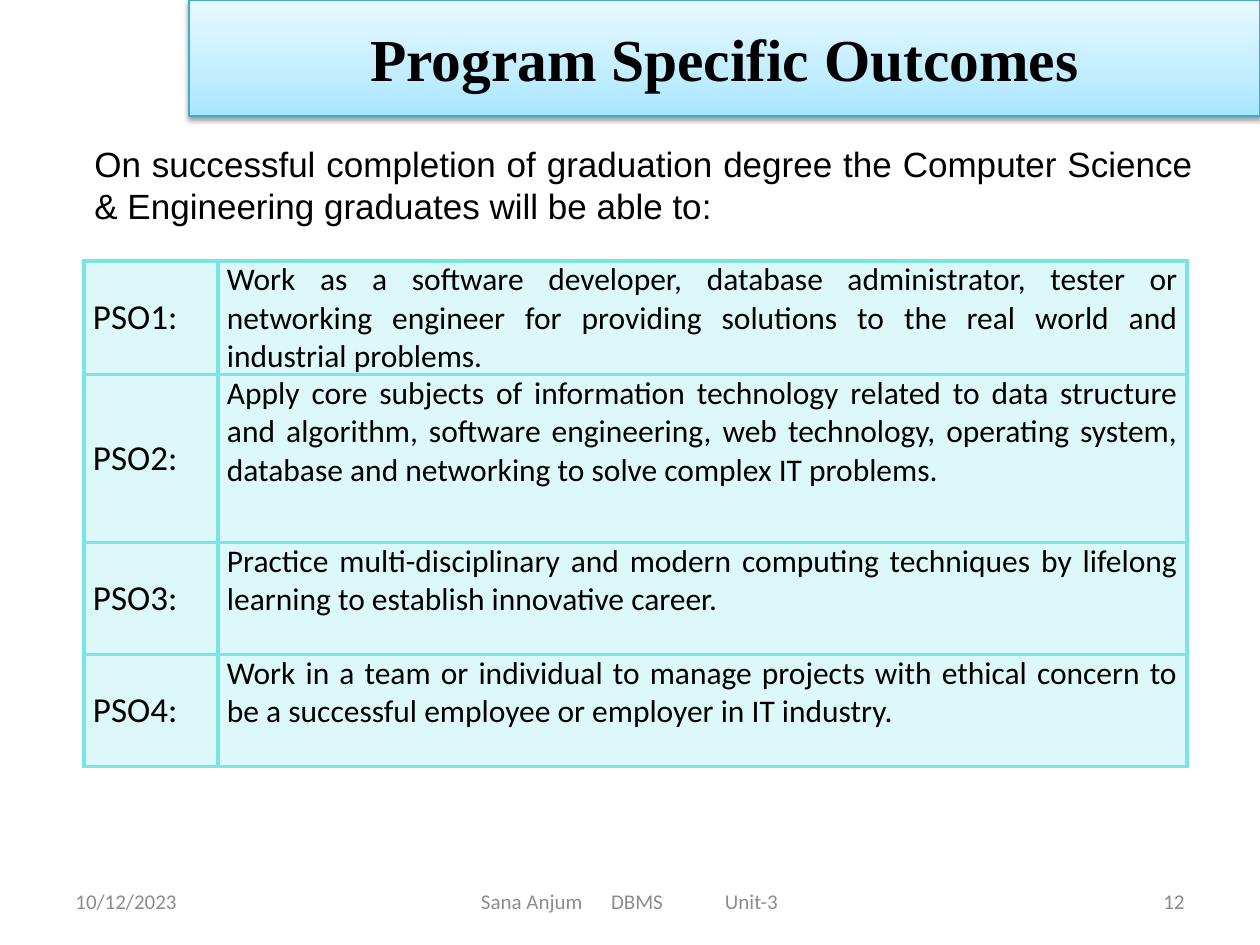
from lxml import etree
from pptx import Presentation
from pptx.dml.color import RGBColor
from pptx.enum.text import MSO_ANCHOR, MSO_AUTO_SIZE, PP_ALIGN
from pptx.oxml import parse_xml
from pptx.oxml.ns import nsdecls, qn
from pptx.util import Emu, Pt

LEFT, MID, RIGHT, JUST = PP_ALIGN.LEFT, PP_ALIGN.CENTER, PP_ALIGN.RIGHT, PP_ALIGN.JUSTIFY
TOP, CENTRE = MSO_ANCHOR.TOP, MSO_ANCHOR.MIDDLE
FIXED = MSO_AUTO_SIZE.NONE
SCALE = 914400 / 126
COLOURS = {
    "ink": "000000", "grey": "8C8C8C", "number": "898989", "aqua": "7BE5E5",
    "edge": "46AAC5", "low": "A7E6FF", "mid": "C1EDFF", "high": "E7F8FF",
}
GOALS = [
    "Work as a software developer, database administrator, tester or networking "
    "engineer for providing solutions to the real world and industrial problems.",
    "Apply core subjects of information technology related to data structure and "
    "algorithm, software engineering, web technology, operating system, database "
    "and networking to solve complex IT problems.",
    "Practice multi-disciplinary and modern computing techniques by lifelong "
    "learning to establish innovative career.",
    "Work in a team or individual to manage projects with ethical concern to be a "
    "successful employee or employer in IT industry.",
]


def px(num):
    return Emu(round(num * SCALE))


def rgb(name):
    return RGBColor.from_string(COLOURS[name])


def paint(name, alpha=100):
    """Return the XML of a solid fill."""
    return (f'<a:solidFill {nsdecls("a")}><a:srgbClr val="{COLOURS[name]}">'
            f'<a:alpha val="{alpha * 1000}"/></a:srgbClr></a:solidFill>')


class Page:
    def __init__(self, deck):
        self.slide = deck.slides.add_slide(deck.slide_layouts[5])
        self.font = "Calibri"

    def place(self, shape, box):
        shape.left, shape.top, shape.width, shape.height = map(px, box)

    def add_runs(self, frame, runs, size, colour="ink", align=LEFT, font=None, bold=False):
        para = frame.paragraphs[0]
        para.alignment = align
        for text in runs:
            run = para.add_run()
            run.text = text
            run.font.name = font or self.font
            run.font.size = Pt(size)
            run.font.bold = bold
            run.font.color.rgb = rgb(colour)
        return para

    def title(self, text, box):
        shape = self.slide.shapes.title
        self.place(shape, box)
        shape.fill.gradient()
        shape.fill.gradient_angle = 90
        props = shape.element.spPr
        stops = props.find(qn("a:gradFill")).find(qn("a:gsLst"))
        for stop in list(stops):
            stops.remove(stop)
        for name, spot in (("low", 0), ("mid", 35), ("high", 100)):
            stop = etree.SubElement(stops, qn("a:gs"), pos=str(spot * 1000))
            etree.SubElement(stop, qn("a:srgbClr"), val=COLOURS[name])
        shape.line.color.rgb = rgb("edge")
        shape.line.width = Pt(0.75)
        props.append(parse_xml(
            f'<a:effectLst {nsdecls("a")}><a:outerShdw blurRad="{Pt(3.1)}" '
            f'dist="{Pt(1.6)}" dir="5400000" rotWithShape="0"><a:srgbClr val="000000">'
            '<a:alpha val="38000"/></a:srgbClr></a:outerShdw></a:effectLst>'))
        frame = shape.text_frame
        frame.auto_size = FIXED
        frame.vertical_anchor = CENTRE
        self.add_runs(frame, [text], 34, align=MID, font="Times New Roman", bold=True)

    def text(self, runs, box, size, anchor=TOP, inset=None, tabs=(), **style):
        frame = self.slide.shapes.add_textbox(*map(px, box)).text_frame
        frame.word_wrap = True
        frame.vertical_anchor = anchor
        if inset is not None:
            frame.margin_left = px(inset)
        para = self.add_runs(frame, runs, size, **style)
        if tabs:
            stops = etree.SubElement(para._p.get_or_add_pPr(), qn("a:tabLst"))
            for tab in tabs:
                etree.SubElement(stops, qn("a:tab"), pos=str(px(tab)), algn="l")

    def cell(self, cell, text, size, anchor):
        cell.margin_left = cell.margin_right = px(9)
        cell.margin_top = cell.margin_bottom = 0
        cell.vertical_anchor = anchor
        self.add_runs(cell.text_frame, [text], size, align=JUST)
        props = cell._tc.get_or_add_tcPr()
        for side in "LRTB":
            line = etree.SubElement(props, qn(f"a:ln{side}"), w=str(Pt(2.25)))
            line.append(parse_xml(paint("aqua")))
        props.append(parse_xml(paint("aqua", 25)))

    def table(self, goals, box, cols, rows):
        grid = self.slide.shapes.add_table(len(rows), len(cols), *map(px, box)).table
        grid.first_row = grid.horz_banding = False
        for col, width in zip(grid.columns, cols):
            col.width = px(width)
        for num, (goal, high) in enumerate(zip(goals, rows)):
            grid.rows[num].height = px(high)
            self.cell(grid.cell(num, 0), f"PSO{num + 1}:", 20, CENTRE)
            self.cell(grid.cell(num, 1), goal, 18, TOP)


def main():
    deck = Presentation()
    deck.slide_width, deck.slide_height = px(1260), px(945)
    page = Page(deck)
    foot = {"size": 12, "anchor": CENTRE}
    page.text(["10/12/2023"], (63, 876, 294, 50), colour="grey", **foot)
    page.text(["Sana Anjum", "\tDBMS", "\tUnit-3"], (431, 876, 399, 50),
              inset=50, tabs=(130, 244), colour="grey", **foot)
    page.text(["12"], (903, 876, 294, 50), colour="number", align=RIGHT, **foot)
    page.table(GOALS, (84, 261, 1103, 505), (134, 969), (113, 168, 112, 112))
    page.title("Program Specific Outcomes", (189, 0, 1071, 116))
    page.text(["On successful completion of graduation degree the Computer Science "
               "& Engineering graduates will be able to:"],
              (82, 136, 1124, 97), 20, align=JUST, font="Arial")
    deck.save("out.pptx")


if __name__ == "__main__":
    main()
